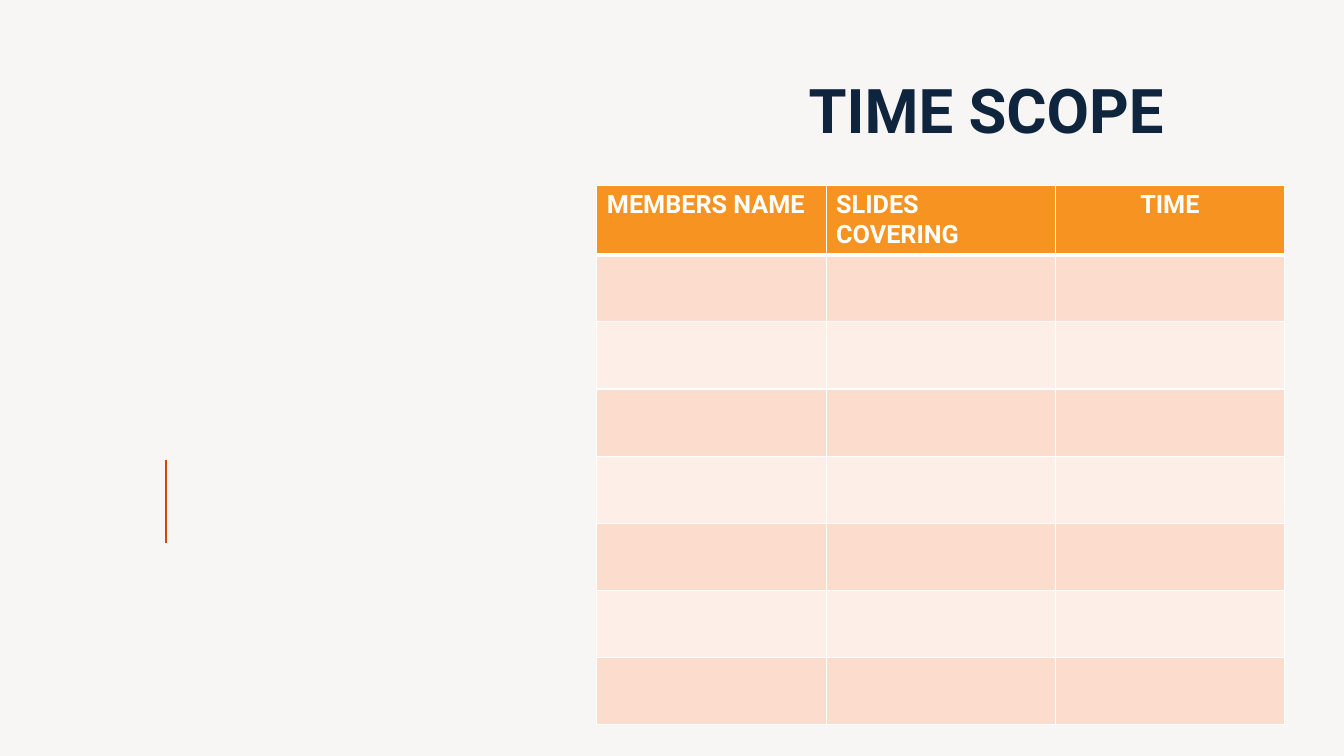
from lxml.etree import SubElement
from pptx import Presentation
from pptx.dml.color import RGBColor
from pptx.enum.shapes import MSO_CONNECTOR
from pptx.enum.text import MSO_ANCHOR, PP_ALIGN
from pptx.oxml.ns import qn
from pptx.util import Inches, Pt

FONT = "Roboto"
HEADS = [("MEMBERS NAME", PP_ALIGN.LEFT),
         ("SLIDES COVERING", PP_ALIGN.LEFT),
         ("TIME", PP_ALIGN.CENTER)]
BANDS = ["FDEEE8", "FCDCCD"]
ROWS = 8


def paint(color, value):
    color.rgb = RGBColor.from_string(value)


def write(para, text, size, color):
    run = para.add_run()
    run.text = text
    run.font.name = FONT
    run.font.size = Pt(size)
    run.font.bold = True
    paint(run.font.color, color)


def add_title(slide, x, y, w, h):
    title = slide.shapes.title
    title.left, title.top = Inches(x), Inches(y)
    title.width, title.height = Inches(w), Inches(h)
    frame = title.text_frame
    frame.word_wrap = True
    frame.vertical_anchor = MSO_ANCHOR.MIDDLE
    para = frame.paragraphs[0]
    para.alignment = PP_ALIGN.LEFT
    para.line_spacing = 0.9
    write(para, "TIME SCOPE", 44, "0F253E")


def add_rule(slide, x, y, h):
    rule = slide.shapes.add_connector(
        MSO_CONNECTOR.STRAIGHT, Inches(x), Inches(y), Inches(x), Inches(y + h))
    rule.line.width = Pt(1.5)
    paint(rule.line.color, "D84400")
    SubElement(rule._element.spPr, qn("a:effectLst"))


def edge(cell, top, bottom):
    """Draw white borders; top and bottom widths are in points."""
    props = cell._tc.get_or_add_tcPr()
    for side, width in zip("LRTB", (1, 1, top, bottom)):
        line = SubElement(props, qn(f"a:ln{side}"), w=str(Pt(width)))
        fill = SubElement(line, qn("a:solidFill"))
        SubElement(fill, qn("a:srgbClr"), val="FFFFFF")


def add_grid(slide, x, y, w, h):
    table = slide.shapes.add_table(
        ROWS, len(HEADS), Inches(x), Inches(y), Inches(w), Inches(h)).table
    for r in range(ROWS):
        for c in range(len(HEADS)):
            cell = table.cell(r, c)
            edge(cell, 3 if r == 1 else 1, 3 if r == 0 else 1)
            cell.fill.solid()
            paint(cell.fill.fore_color, BANDS[r % 2] if r else "F79320")
    for c, (text, align) in enumerate(HEADS):
        para = table.cell(0, c).text_frame.paragraphs[0]
        para.alignment = align
        write(para, text, 18, "FFFFFF")


def main():
    deck = Presentation()
    deck.slide_width, deck.slide_height = Inches(13.33), Inches(7.5)
    slide = deck.slides.add_slide(deck.slide_layouts[5])
    back = slide.background.fill
    back.solid()
    paint(back.fore_color, "F8F6F5")
    add_rule(slide, 1.65, 4.56, 0.83)
    add_title(slide, 7.92, 0, 5.75, 2.25)
    add_grid(slide, 5.92, 1.84, 6.82, 5.33)
    deck.save("out.pptx")


if __name__ == "__main__":
    main()
